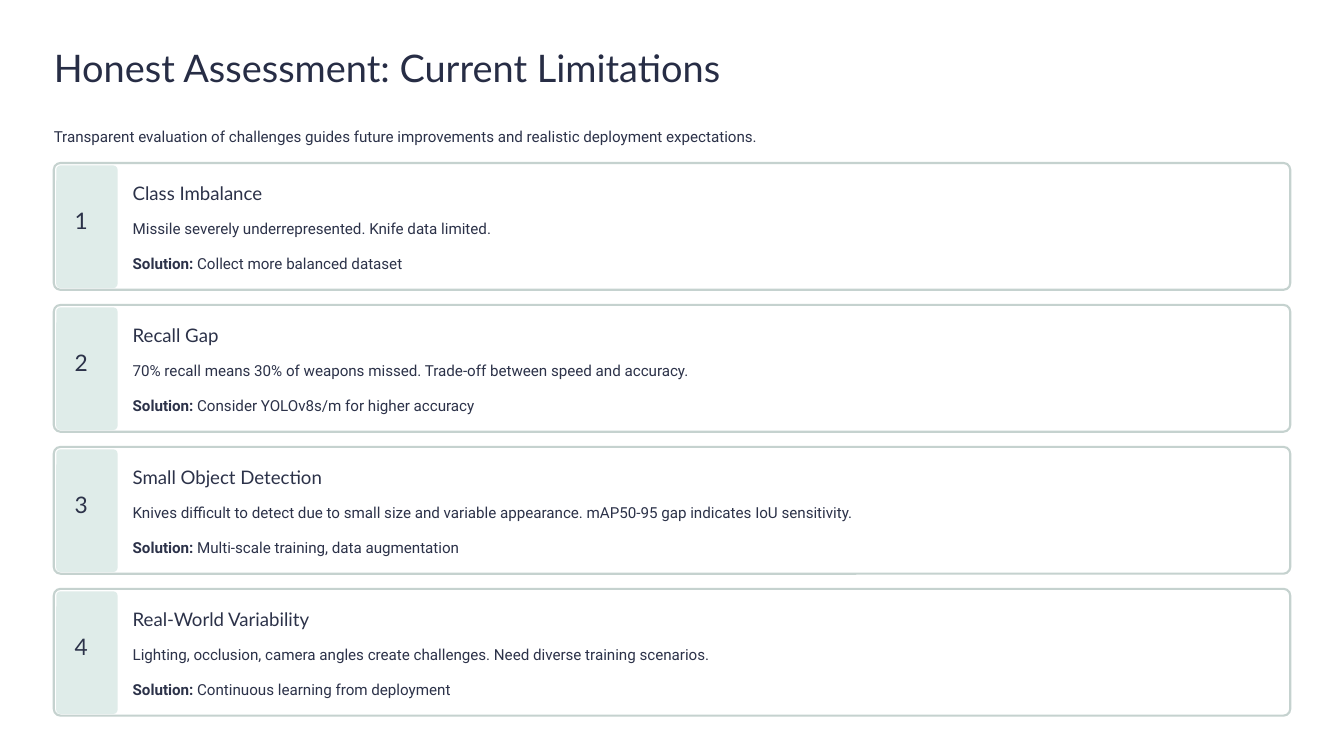
from dataclasses import dataclass

from pptx import Presentation
from pptx.dml.color import RGBColor
from pptx.enum.shapes import MSO_SHAPE
from pptx.enum.text import MSO_ANCHOR, MSO_AUTO_SIZE, PP_ALIGN
from pptx.util import Inches, Pt


@dataclass(frozen=True)
class Theme:
    title_color: str = "272D45"
    text_color: str = "2C3249"
    card_fill: str = "FFFFFF"
    card_line: str = "C5D2CF"
    badge_fill: str = "DFECE9"
    heading_font: str = "Lato"
    body_font: str = "Roboto"
    title_size: float = 32.5
    number_size: float = 19.5
    heading_size: float = 16
    body_size: float = 13


theme = Theme()

presentation = Presentation()
presentation.slide_width, presentation.slide_height = Inches(16), Inches(9)
slide = presentation.slides.add_slide(presentation.slide_layouts[5])


def write(text, left, top, width, height, *, size=theme.body_size,
          font=theme.body_font, color=theme.text_color, spacing=21,
          bold_lead="", shape=None):
    """Place one line of text, with an optional bold lead, in a new or given shape."""
    box = [Inches(value) for value in (left, top, width, height)]
    if shape is None:
        shape = slide.shapes.add_textbox(*box)
    else:
        shape.left, shape.top, shape.width, shape.height = box
    frame = shape.text_frame
    frame.margin_left = frame.margin_right = frame.margin_top = frame.margin_bottom = 0
    frame.word_wrap = False
    frame.auto_size = MSO_AUTO_SIZE.NONE
    frame.vertical_anchor = MSO_ANCHOR.TOP
    paragraph = frame.paragraphs[0]
    paragraph.alignment = PP_ALIGN.LEFT
    paragraph.line_spacing = Pt(spacing)
    for content, bold in ((bold_lead, True), (text, False)):
        if content:
            run = paragraph.add_run()
            run.text = content
            run.font.name = font
            run.font.size = Pt(size)
            run.font.bold = bold
            run.font.color.rgb = RGBColor.from_string(color)


def add_panel(left, top, width, height, radius, fill, line=None):
    """Add a rounded rectangle whose corner radius is given in inches."""
    panel = slide.shapes.add_shape(
        MSO_SHAPE.ROUNDED_RECTANGLE,
        Inches(left), Inches(top), Inches(width), Inches(height))
    panel.adjustments[0] = radius / min(width, height)
    panel.shadow.inherit = False
    panel.fill.solid()
    panel.fill.fore_color.rgb = RGBColor.from_string(fill)
    if line:
        panel.line.color.rgb = RGBColor.from_string(line)
        panel.line.width = Pt(1.8)
    else:
        panel.line.fill.background()


limitations = [
    ("Class Imbalance",
     "Missile severely underrepresented. Knife data limited.",
     "Collect more balanced dataset"),
    ("Recall Gap",
     "70% recall means 30% of weapons missed. Trade-off between speed and accuracy.",
     "Consider YOLOv8s/m for higher accuracy"),
    ("Small Object Detection",
     "Knives difficult to detect due to small size and variable appearance. "
     "mAP50-95 gap indicates IoU sensitivity.",
     "Multi-scale training, data augmentation"),
    ("Real-World Variability",
     "Lighting, occlusion, camera angles create challenges. "
     "Need diverse training scenarios.",
     "Continuous learning from deployment"),
]

margin = 0.64
content_width = 16 - 2 * margin
first_card_top, card_height, card_gap = 1.94, 1.51, 0.18
inset = 0.03
text_left, text_width, line_height = 1.58, 13.57, 0.29

write("Honest Assessment: Current Limitations", margin, 0.5, 8, 0.57,
      size=theme.title_size, font=theme.heading_font, color=theme.title_color,
      spacing=41, shape=slide.shapes.title)
write("Transparent evaluation of challenges guides future improvements "
      "and realistic deployment expectations.",
      margin, 1.44, content_width, line_height)

for index, (heading, challenge, solution) in enumerate(limitations):
    top = first_card_top + index * (card_height + card_gap)
    add_panel(margin, top, content_width, card_height, 0.08,
              theme.card_fill, theme.card_line)
    add_panel(margin + inset, top + inset, 0.73, card_height - 2 * inset + 0.01,
              0.05, theme.badge_fill)
    write(str(index + 1), 0.89, top + 0.58, 0.27, 0.34,
          size=theme.number_size, font=theme.heading_font, spacing=19.5)
    write(heading, text_left, top + 0.21, 2.3, line_height,
          size=theme.heading_size, font=theme.heading_font, spacing=20.5)
    write(challenge, text_left, top + 0.6, text_width, line_height)
    write(f" {solution}", text_left, top + 1.01, text_width, line_height,
          bold_lead="Solution:")

presentation.save("out.pptx")
